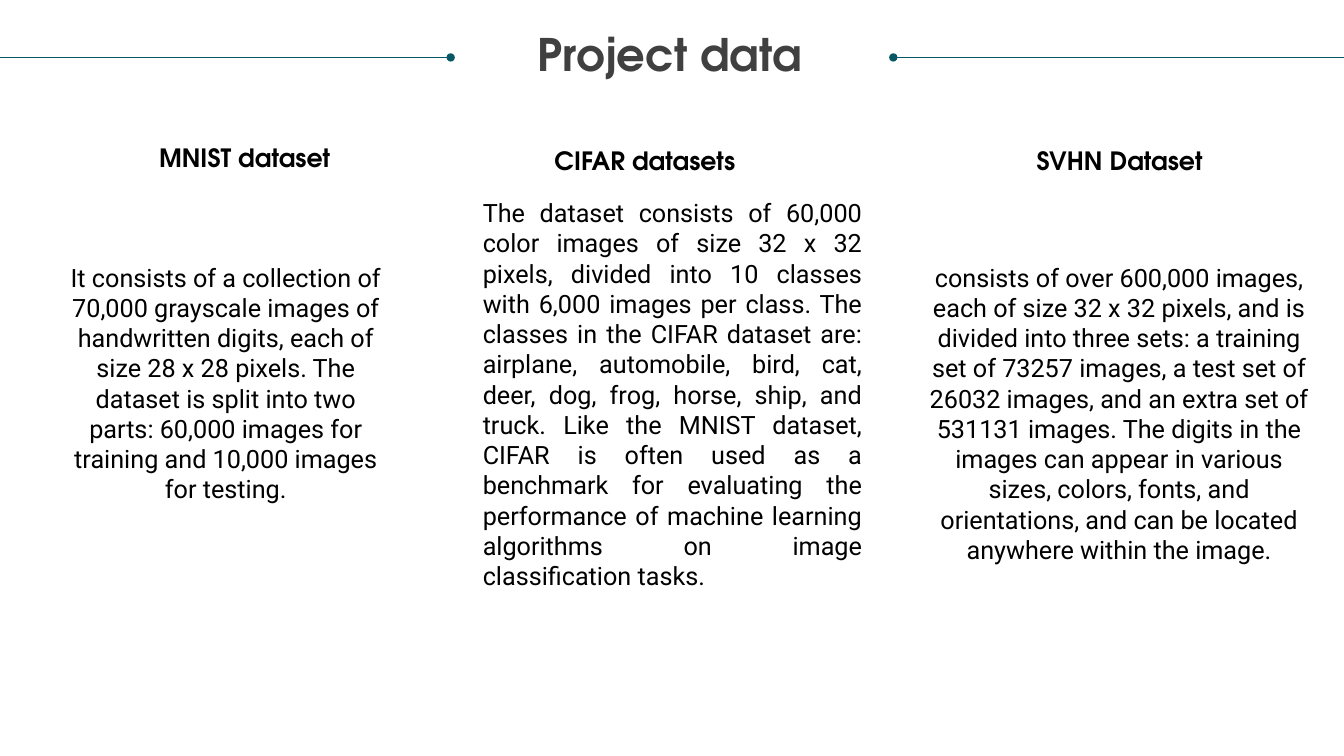
from lxml import etree
from pptx import Presentation
from pptx.dml.color import RGBColor
from pptx.enum.shapes import MSO_CONNECTOR as Connector
from pptx.enum.text import MSO_ANCHOR as Anchor, PP_ALIGN as Align
from pptx.oxml.ns import qn
from pptx.util import Inches, Pt

COLORS = {"title": "404040", "text": "000000", "rule": "085764"}
HEADING_FONT = "TeX Gyre Adventor"
BODY_FONT = "Roboto"
PAGE_WIDTH, PAGE_HEIGHT = 13.33, 7.5
RULE_Y = 0.57

# heading, heading area, heading alignment, body area, body alignment, body
DATASETS = [
    ("MNIST dataset", (1.48, 1.36, 2.01, 0.4), Align.LEFT,
     (0.56, 2.55, 3.36, 2.22), Align.CENTER,
     "It consists of a collection of 70,000 grayscale images of handwritten "
     "digits, each of size 28 x 28 pixels. The dataset is split into two "
     "parts: 60,000 images for training and 10,000 images for testing."),
    ("CIFAR datasets", (5.4, 1.39, 2.57, 0.4), Align.LEFT,
     (4.69, 1.91, 3.96, 3.74), Align.JUSTIFY,
     "The dataset consists of 60,000 color images of size 32 x 32 pixels, "
     "divided into 10 classes with 6,000 images per class. The classes in the "
     "CIFAR dataset are: airplane, automobile, bird, cat, deer, dog, frog, "
     "horse, ship, and truck. Like the MNIST dataset, CIFAR is often used as "
     "a benchmark for evaluating the performance of machine learning "
     "algorithms on image classification tasks."),
    ("SVHN Dataset", (9.48, 1.39, 3.25, 0.4), Align.CENTER,
     (9.12, 2.55, 3.96, 3.13), Align.CENTER,
     "consists of over 600,000 images, each of size 32 x 32 pixels, and is "
     "divided into three sets: a training set of 73257 images, a test set of "
     "26032 images, and an extra set of 531131 images. The digits in the "
     "images can appear in various sizes, colors, fonts, and orientations, "
     "and can be located anywhere within the image."),
]


class DataPage:
    """Draws styled elements on one blank page."""

    def __init__(self, deck):
        self.page = deck.slides.add_slide(deck.slide_layouts[6])

    def add_text(self, text, area, align, font, size=18, color="text", bold=False):
        box = self.page.shapes.add_textbox(*map(Inches, area))
        frame = box.text_frame
        frame.word_wrap = True
        frame.vertical_anchor = Anchor.TOP
        para = frame.paragraphs[0]
        para.text = text
        para.alignment = align
        for span in para.runs:
            span.font.name = font
            span.font.size = Pt(size)
            span.font.bold = bold
            span.font.color.rgb = RGBColor.from_string(COLORS[color])
        return frame

    def title(self, text, area):
        frame = self.add_text(text, area, Align.CENTER, HEADING_FONT, 32, "title", True)
        frame.margin_left = frame.margin_right = 0
        frame.margin_top = frame.margin_bottom = 0
        frame.paragraphs[0].line_spacing = 0.9

    def heading(self, text, area, align):
        self.add_text(text, area, align, HEADING_FONT, bold=True)

    def body(self, text, area, align):
        self.add_text(text, area, align, BODY_FONT)

    def dotted_rule(self, dot_x, edge_x):
        """Horizontal rule with a dot at its inner end."""
        rule = self.page.shapes.add_connector(
            Connector.STRAIGHT, Inches(dot_x), Inches(RULE_Y),
            Inches(edge_x), Inches(RULE_Y))
        rule.line.width = Pt(0.5)
        rule.line.color.rgb = RGBColor.from_string(COLORS["rule"])
        properties = rule._element.spPr
        outline = properties.find(qn("a:ln"))
        etree.SubElement(outline, qn("a:headEnd"), type="oval")
        etree.SubElement(properties, qn("a:effectLst"))


def main():
    deck = Presentation()
    deck.slide_width = Inches(PAGE_WIDTH)
    deck.slide_height = Inches(PAGE_HEIGHT)
    page = DataPage(deck)
    page.dotted_rule(8.86, PAGE_WIDTH)
    page.title("Project data", (0.23, 0.33, 12.83, 0.91))
    page.dotted_rule(4.47, 0)
    for name, name_area, name_align, body_area, body_align, body in DATASETS:
        page.heading(name, name_area, name_align)
        page.body(body, body_area, body_align)
    deck.save("out.pptx")


if __name__ == "__main__":
    main()
